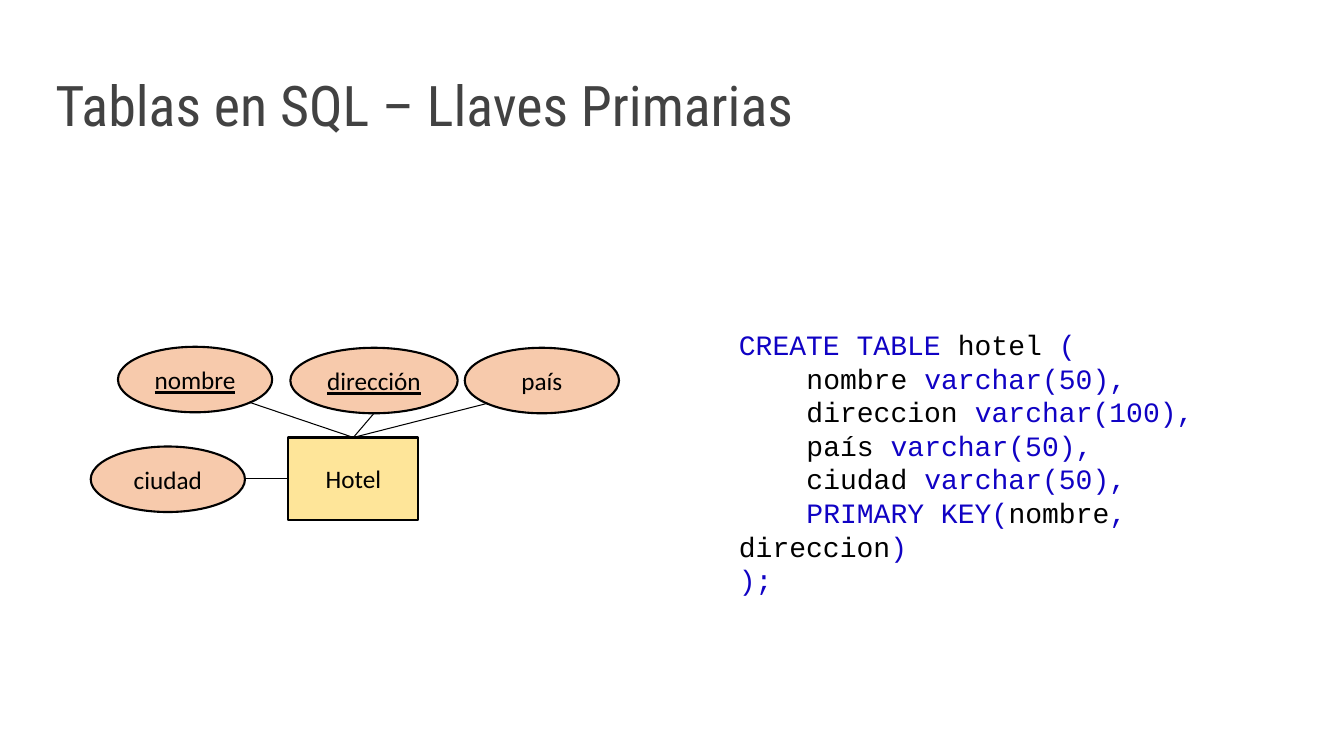
from dataclasses import dataclass

from lxml.etree import SubElement
from pptx import Presentation
from pptx.dml.color import RGBColor as Rgb
from pptx.enum.shapes import MSO_CONNECTOR as Link, MSO_SHAPE as Kind
from pptx.enum.text import MSO_ANCHOR as Anchor, MSO_AUTO_SIZE as Fit, PP_ALIGN as Align
from pptx.oxml.ns import qn
from pptx.util import Inches, Pt

BLACK, BLUE, GREY = "000000", "1002C4", "424242"
PEACH, YELLOW = "F7CAAC", "FEE599"


@dataclass
class Node:
    text: str
    left: float
    top: float
    width: float = 1.53
    height: float = 0.65
    kind: int = Kind.OVAL
    fill: str = PEACH
    key: bool = False


@dataclass
class Edge:
    x: float
    y: float
    side: int = 0


@dataclass
class Line:
    runs: list[tuple[str, str]]
    deep: bool = False


def paint(fmt, color: str) -> None:
    fmt.solid()
    fmt.fore_color.rgb = Rgb.from_string(color)


def write(para, text: str, size: int, font: str, color: str, under: bool = False) -> None:
    run = para.add_run()
    run.text = text
    run.font.size, run.font.name = Pt(size), font
    if under:
        run.font.underline = True
    paint(run.font.fill, color)


def draw(slide, node: Node):
    box = [Inches(v) for v in (node.left, node.top, node.width, node.height)]
    shape = slide.shapes.add_shape(node.kind, *box)
    shape.shadow.inherit = False
    paint(shape.fill, node.fill)
    paint(shape.line.fill, BLACK)
    shape.line.width = Pt(1.5)
    frame = shape.text_frame
    frame.vertical_anchor = Anchor.MIDDLE
    para = frame.paragraphs[0]
    para.alignment = Align.CENTER
    write(para, node.text, 18, "Calibri", BLACK, node.key)
    return shape


def join(slide, edge: Edge, target) -> None:
    x, y = Inches(edge.x), Inches(edge.y)
    line = slide.shapes.add_connector(Link.STRAIGHT, x, y, x, y)
    line.end_connect(target, edge.side)
    paint(line.line.fill, BLACK)
    line.line.width = Pt(0.75)
    SubElement(line._element.spPr, qn("a:effectLst"))


def column(name: str, kind: str) -> Line:
    return Line([(name + " ", BLACK), (kind + ",", BLUE)], True)


HOTEL = Node("Hotel", 2.86, 4.34, 1.29, 0.82, Kind.RECTANGLE, YELLOW)
FIELDS = [
    Node("nombre", 1.17, 3.44, key=True),
    Node("dirección", 2.88, 3.45, 1.66, key=True),
    Node("país", 4.61, 3.45),
    Node("ciudad", 0.9, 4.43),
]
EDGES = [Edge(2.47, 3.99), Edge(3.71, 4.1), Edge(4.84, 4), Edge(2.43, 4.75, 1)]
CODE = [
    Line([("CREATE TABLE ", BLUE), ("hotel ", BLACK), ("(", BLUE)]),
    column("nombre", "varchar(50)"),
    column("direccion", "varchar(100)"),
    column("país", "varchar(50)"),
    column("ciudad", "varchar(50)"),
    Line([("PRIMARY KEY(", BLUE), ("nombre", BLACK), (", ", BLUE),
          ("direccion", BLACK), (")", BLUE)], True),
    Line([(");", BLUE)]),
]


def main() -> None:
    deck = Presentation()
    deck.slide_width, deck.slide_height = Inches(13.33), Inches(7.5)
    slide = deck.slides.add_slide(deck.slide_layouts[5])

    # Title
    title = slide.shapes.title
    title.left, title.top = Inches(0.45), Inches(0.54)
    title.width, title.height = Inches(12.42), Inches(1.07)
    frame = title.text_frame
    frame.auto_size, frame.vertical_anchor = Fit.NONE, Anchor.MIDDLE
    para = frame.paragraphs[0]
    para.alignment, para.line_spacing = Align.LEFT, 0.9
    write(para, "Tablas en SQL – Llaves Primarias", 40, "Roboto Condensed", GREY)

    # Entity, attributes and links
    hotel = draw(slide, HOTEL)
    for node in FIELDS:
        draw(slide, node)
    for edge in EDGES:
        join(slide, edge, hotel)

    # Code, with inner lines set in by four letters
    box = slide.shapes.add_textbox(Inches(7.23), Inches(3.2), Inches(5.45), Inches(2.46))
    frame = box.text_frame
    frame.word_wrap, frame.auto_size = True, Fit.SHAPE_TO_FIT_TEXT
    for i, line in enumerate(CODE):
        para = frame.add_paragraph() if i else frame.paragraphs[0]
        if line.deep:
            props = para._p.get_or_add_pPr()
            props.set("marL", "0")
            props.set("indent", str(Inches(0.67)))
        for text, color in line.runs:
            write(para, text, 20, "Courier New", color)

    deck.save("out.pptx")


if __name__ == "__main__":
    main()
